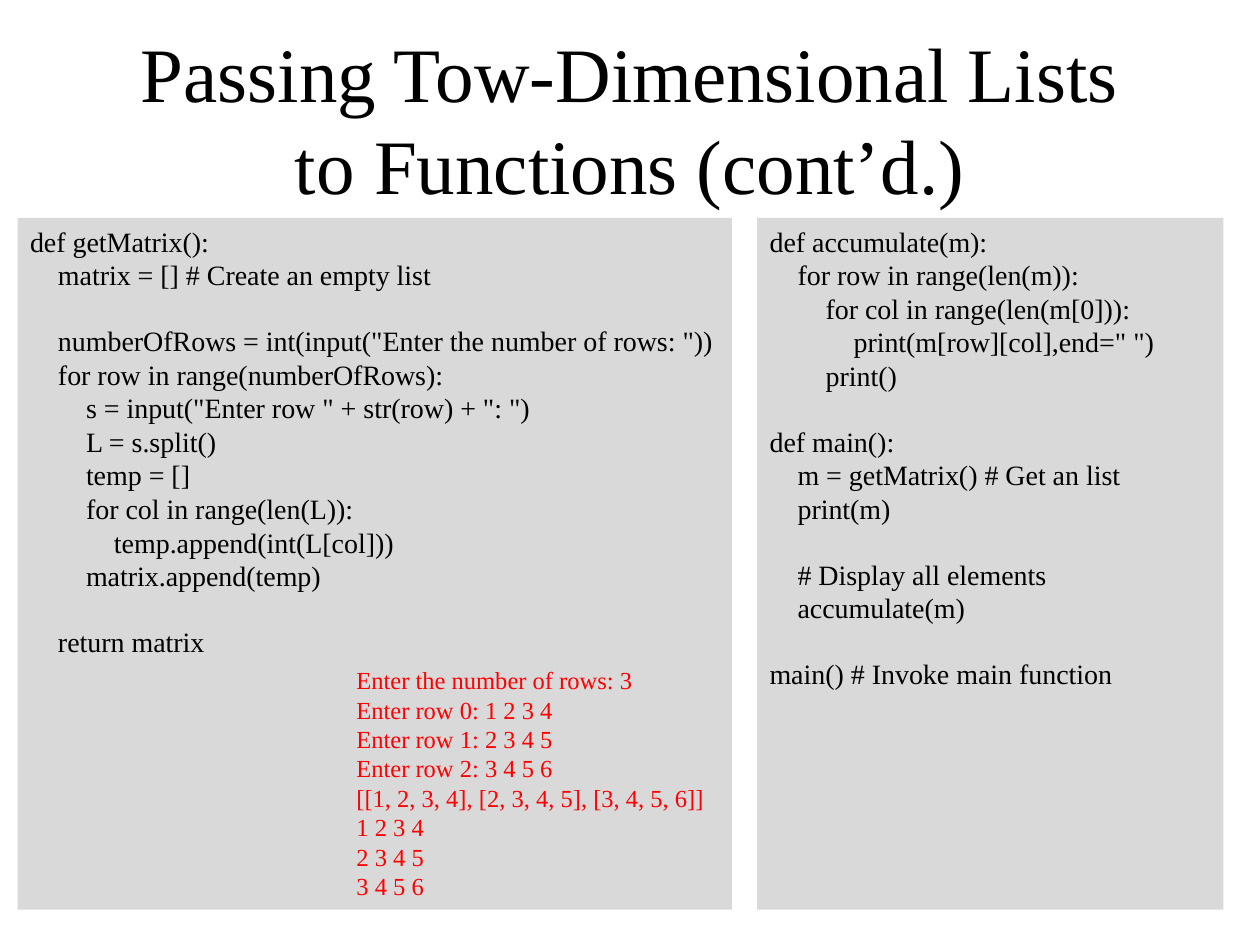
from dataclasses import dataclass

from pptx import Presentation
from pptx.dml.color import RGBColor
from pptx.enum.shapes import MSO_SHAPE
from pptx.enum.text import MSO_ANCHOR, PP_ALIGN
from pptx.util import Emu, Inches, Pt


@dataclass(frozen=True)
class Theme:
    font: str = "Times New Roman"
    ink: str = "000000"
    red: str = "FF0000"
    gray: str = "D9D9D9"
    head: int = 44
    code: int = 16
    log: int = 14
    lead: float = 1.15  # line height as a share of the type size
    tab: int = 4        # spaces in one code level, each a quarter em


@dataclass(frozen=True)
class Box:
    """A place on a grid of 100 columns by 75 rows."""
    col: float
    row: float
    cols: float
    rows: float

    def area(self) -> list[Emu]:
        unit = Inches(10) / 100
        return [Emu(round(n * unit)) for n in (self.col, self.row, self.cols, self.rows)]


@dataclass(frozen=True)
class Block:
    box: Box
    text: str
    size: int
    ink: str
    fill: str = ""
    align: PP_ALIGN = PP_ALIGN.LEFT
    anchor: MSO_ANCHOR = MSO_ANCHOR.TOP


THEME = Theme()
TOP, TALL = 17.3, 54.9

TITLE = "Passing Tow-Dimensional Lists to Functions (cont’d.)"

MATRIX = '''
def getMatrix():
    matrix = [] # Create an empty list

    numberOfRows = int(input("Enter the number of rows: "))
    for row in range(numberOfRows):
        s = input("Enter row " + str(row) + ": ")
        L = s.split()
        temp = []
        for col in range(len(L)):
            temp.append(int(L[col]))
        matrix.append(temp)

    return matrix
'''

MAIN = '''
def accumulate(m):
    for row in range(len(m)):
        for col in range(len(m[0])):
            print(m[row][col],end=" ")
        print()

def main():
    m = getMatrix() # Get an list
    print(m)

    # Display all elements
    accumulate(m)

main() # Invoke main function
'''

OUTPUT = '''
Enter the number of rows: 3
Enter row 0: 1 2 3 4
Enter row 1: 2 3 4 5
Enter row 2: 3 4 5 6
[[1, 2, 3, 4], [2, 3, 4, 5], [3, 4, 5, 6]]
1 2 3 4
2 3 4 5
3 4 5 6
'''

BLOCKS = (
    Block(Box(7.5, 3.1, 85, 12.5), TITLE, THEME.head, THEME.ink,
          align=PP_ALIGN.CENTER, anchor=MSO_ANCHOR.MIDDLE),
    Block(Box(1.4, TOP, 56.7, TALL), MATRIX, THEME.code, THEME.ink, THEME.gray),
    Block(Box(60.1, TOP, 37, TALL), MAIN, THEME.code, THEME.ink, THEME.gray),
    Block(Box(27.3, 52.3, 29.8, 19.9), OUTPUT, THEME.log, THEME.red),
)


def write(frame, block: Block) -> None:
    """Turn leading spaces into indents and empty lines into space before."""
    frame.word_wrap = True
    frame.vertical_anchor = block.anchor
    gap = 0
    for num, line in enumerate(block.text.strip().splitlines()):
        if not line:
            gap += block.size * THEME.lead
            continue
        para = frame.add_paragraph() if num else frame.paragraphs[0]
        para.alignment = block.align
        para.space_before = Pt(gap)
        gap = 0
        words = line.lstrip()
        level = (len(line) - len(words)) // THEME.tab
        props = para._p.get_or_add_pPr()
        props.set("marL", str(Pt(level * THEME.tab * block.size / 4)))
        props.set("indent", "0")
        run = para.add_run()
        run.text = words
        run.font.name = THEME.font
        run.font.size = Pt(block.size)
        run.font.color.rgb = RGBColor.from_string(block.ink)


def draw(slide, block: Block) -> None:
    area = block.box.area()
    if block.fill:
        shape = slide.shapes.add_shape(MSO_SHAPE.RECTANGLE, *area)
        shape.shadow.inherit = False
        shape.fill.solid()
        shape.fill.fore_color.rgb = RGBColor.from_string(block.fill)
        shape.line.fill.background()
    else:
        shape = slide.shapes.add_textbox(*area)
    write(shape.text_frame, block)


def main() -> None:
    deck = Presentation()
    deck.slide_width, deck.slide_height = Inches(10), Inches(7.5)
    slide = deck.slides.add_slide(deck.slide_layouts[6])
    for block in BLOCKS:
        draw(slide, block)
    deck.save("out.pptx")


if __name__ == "__main__":
    main()
